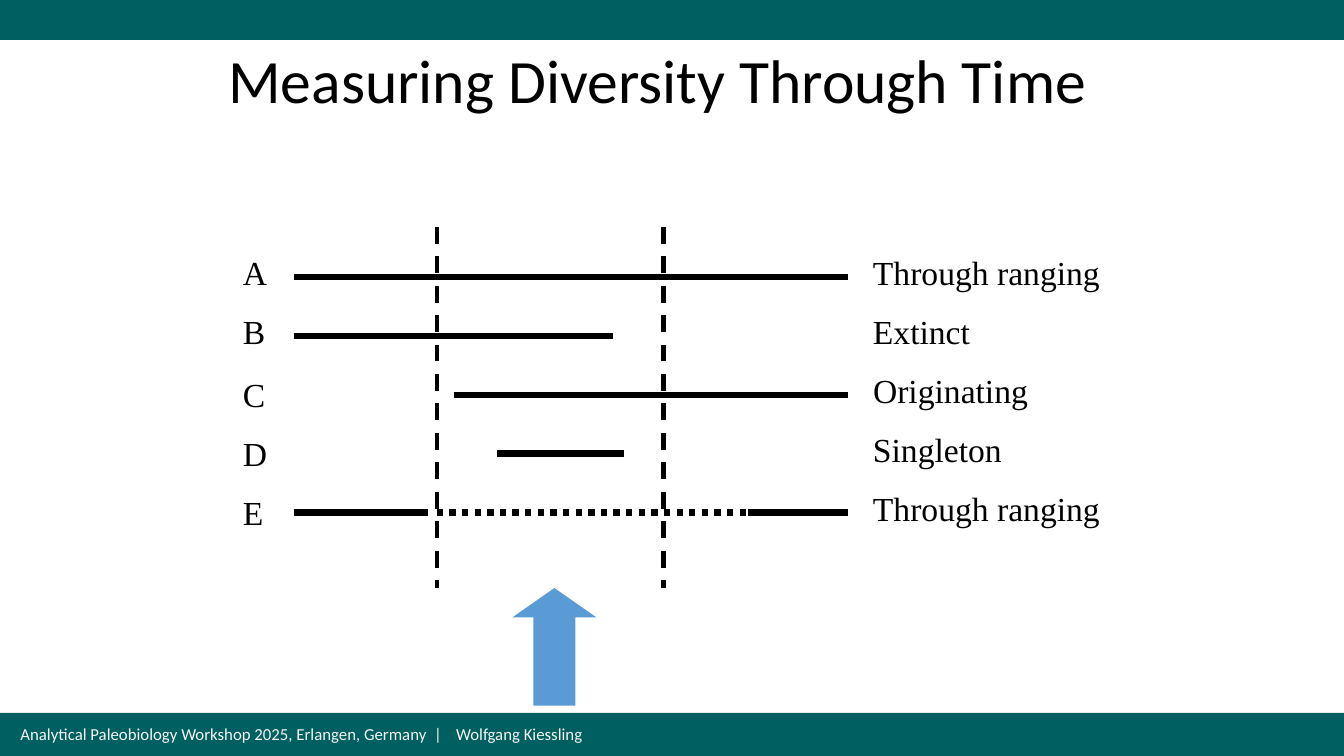
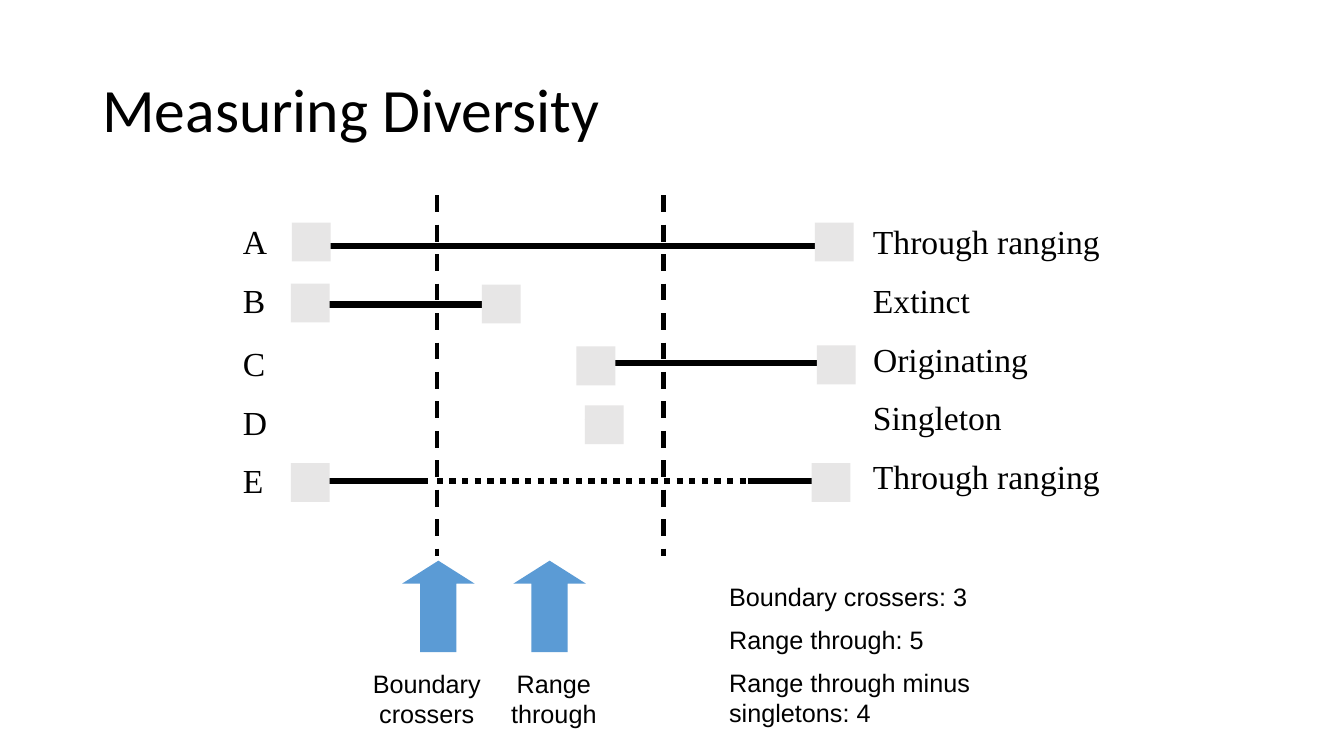
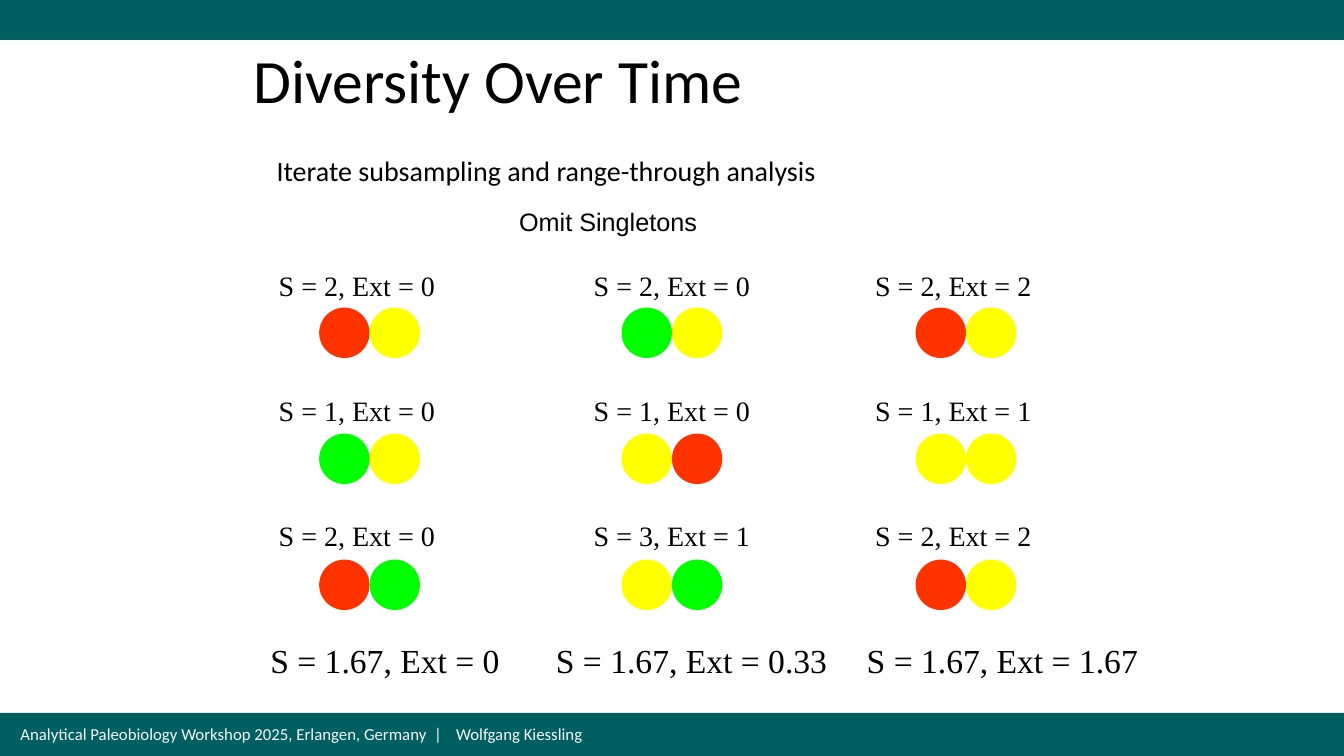
import dataclasses

import lxml.etree
import pptx
import pptx.dml.color
import pptx.enum.dml
import pptx.enum.shapes
import pptx.enum.text
import pptx.oxml.ns
import pptx.util

PX = 9525  # EMU in one px, on a slide of 1280 by 720 px
SHAPE = pptx.enum.shapes.MSO_SHAPE
DASH = pptx.enum.dml.MSO_LINE
ALIGN = pptx.enum.text.PP_ALIGN
RGB = pptx.dml.color.RGBColor.from_string


def font_values(name, points):
    return {"name": name, "size": pptx.util.Pt(points)}


@dataclasses.dataclass(frozen=True)
class Theme:
    band = "005F60"
    footer_ink = "F5F5F5"
    ink = "000000"
    paper = "FFFFFF"
    arrow = "5B9BD5"
    square = "E7E6E6"
    circles = {"R": "FF3300", "Y": "FFFF00", "G": "00FF00"}
    title = font_values("Calibri", 44)
    lead = font_values("Calibri", 20)
    footer = font_values("Calibri", 12)
    label = font_values("Times New Roman", 24)
    result = font_values("Times New Roman", 20)
    note = font_values("Arial", 18)
    range_line = pptx.util.Pt(4.5)
    boundary_line = pptx.util.Pt(3)


theme = Theme()


def add_box(slide, kind, at, colour, adjustments=(), lines=(), style=None, ink=theme.ink,
            wrap=False, **paragraph_values):
    """Add a preset shape, or a text box when kind is None, with its text."""
    at = [value * PX for value in at]
    if kind is None:
        shape = slide.shapes.add_textbox(*at)
    else:
        shape = slide.shapes.add_shape(kind, *at)
        shape.shadow.inherit = False
        shape.line.fill.background()
    if colour:
        shape.fill.solid()
        shape.fill.fore_color.rgb = RGB(colour)
    for index, value in enumerate(adjustments):
        shape.adjustments[index] = value
    if lines:
        frame = shape.text_frame
        frame.word_wrap = wrap
        frame.auto_size = pptx.enum.text.MSO_AUTO_SIZE.SHAPE_TO_FIT_TEXT
    for index, line in enumerate(lines):
        paragraph = frame.add_paragraph() if index else frame.paragraphs[0]
        for name, value in paragraph_values.items():
            if index or name != "space_before":
                setattr(paragraph, name, value)
        run = paragraph.add_run()
        run.text = line
        for name, value in style.items():
            setattr(run.font, name, value)
        run.font.color.rgb = RGB(ink)
    return shape


presentation = pptx.Presentation()
presentation.slide_width = 1280 * PX
presentation.slide_height = 720 * PX
blank = presentation.slide_layouts[6]

# Title, its place, and whether the slide has bands
frames = [
    ("Measuring Diversity Through Time", (208, 12, 850, 136), True),
    ("Measuring Diversity", (88, 38, 1104, 139), False),
    ("Diversity Over Time", (232, 32, 816, 96), True),
]
slides = []
for title, at, has_bands in frames:
    slide = presentation.slides.add_slide(blank)
    slides.append(slide)
    if has_bands:
        for top, height in [(679, 41), (0, 38)]:
            add_box(slide, SHAPE.RECTANGLE, (0, top, 1280, height), theme.band)
        footer = add_box(
            slide, None, (10, 685, 760, 29), None, style=theme.footer, ink=theme.footer_ink, wrap=True,
            lines=["Analytical Paleobiology Workshop 2025, Erlangen, Germany\t|\tWolfgang Kiessling"])
        properties = footer.text_frame.paragraphs[0]._p.get_or_add_pPr()
        tabs = lxml.etree.SubElement(properties, pptx.oxml.ns.qn("a:tabLst"))
        for position in (394, 415):
            lxml.etree.SubElement(tabs, pptx.oxml.ns.qn("a:tab"), pos=str(position * PX), algn="l")
    heading = add_box(slide, None, at, None, lines=[title], style=theme.title, wrap=True,
                      line_spacing=0.9)
    heading.text_frame.auto_size = pptx.enum.text.MSO_AUTO_SIZE.NONE
    heading.text_frame.vertical_anchor = pptx.enum.text.MSO_ANCHOR.MIDDLE

true_slide, sampled_slide, subsampling_slide = slides

# Range charts: letter, its width, category, its width
taxa = [
    ("A", 42, "Through ranging", 240),
    ("B", 40, "Extinct", 118),
    ("C", 40, "Originating", 172),
    ("D", 42, "Singleton", 148),
    ("E", 40, "Through ranging", 240),
]
row_step = 56
true_ranges = [(280, 808), (280, 584), (432, 808), (473, 594)]
sampled_ranges = [(280, 808), (280, 473), (564, 808), (557, 587)]

for slide, first_row, ranges in [(true_slide, 264, true_ranges), (sampled_slide, 234, sampled_ranges)]:
    last_row = first_row + 4 * row_step
    lines = [(left, first_row + row * row_step, right, first_row + row * row_step,
              theme.range_line, None)
             for row, (left, right) in enumerate(ranges)]
    lines += [(x, first_row - 48, x, first_row + 296, theme.boundary_line, DASH.DASH)
              for x in (416, 632)]
    lines += [(left, last_row, right, last_row, theme.range_line, dash)
              for left, right, dash in [(280, 408, None), (712, 808, None), (416, 712, DASH.ROUND_DOT)]]
    for x1, y1, x2, y2, width, dash in lines:
        connector = slide.shapes.add_connector(
            pptx.enum.shapes.MSO_CONNECTOR.STRAIGHT, x1 * PX, y1 * PX, x2 * PX, y2 * PX)
        connector.line.color.rgb = RGB(theme.ink)
        connector.line.width = width
        if dash:
            connector.line.dash_style = dash
        lxml.etree.SubElement(connector._element.spPr, pptx.oxml.ns.qn("a:effectLst"))

    for row, (letter, letter_width, category, category_width) in enumerate(taxa):
        top = first_row + row * row_step - 24
        letter_top = top + (4 if row > 1 else 0)
        for text, at in [(letter, (222, letter_top, letter_width, 44)),
                         (category, (822, top, category_width, 44))]:
            add_box(slide, None, at, None, lines=[text], style=theme.label, line_spacing=0.9)

add_box(true_slide, SHAPE.UP_ARROW, (488, 560, 80, 112), theme.arrow, (0.5, 0.35))

# Squares hide the ends of the ranges
square_places = [(278, 212), (776, 212), (277, 270), (459, 271), (549, 330), (778, 329),
                 (557, 386), (277, 441), (773, 441)]
for left, top in square_places:
    add_box(sampled_slide, SHAPE.RECTANGLE, (left, top, 37, 37), theme.square)

for arrow_left, note_left, note in [(383, 345, "Boundary crossers"), (489, 466, "Range through")]:
    add_box(sampled_slide, SHAPE.UP_ARROW, (arrow_left, 534, 69, 87), theme.arrow, (0.5, 0.317))
    add_box(sampled_slide, None, (note_left, 632, 123, 67), theme.paper, lines=[note],
            style=theme.note, wrap=True, alignment=ALIGN.CENTER)

counts = ["Boundary crossers: 3", "Range through: 5", "Range through minus singletons: 4"]
add_box(sampled_slide, None, (685, 549, 363, 154), theme.paper, lines=counts, style=theme.note,
        wrap=True, space_before=pptx.util.Pt(9))

# Subsampling trials: circle left, label left, trials, mean left, mean width, mean
diameter = 48
columns = [
    (304, 256, [("RY", "S = 2, Ext = 0"), ("GY", "S = 1, Ext = 0"), ("RG", "S = 2, Ext = 0")],
     248, 250, "S = 1.67, Ext = 0"),
    (592, 556, [("GY", "S = 2, Ext = 0"), ("YR", "S = 1, Ext = 0"), ("YG", "S = 3, Ext = 1")],
     520, 290, "S = 1.67, Ext = 0.33"),
    (872, 824, [("RY", "S = 2, Ext = 2"), ("YY", "S = 1, Ext = 1"), ("RY", "S = 2, Ext = 2")],
     816, 290, "S = 1.67, Ext = 1.67"),
]
for circle_left, label_left, trials, mean_left, mean_width, mean in columns:
    for row, (sample, result) in enumerate(trials):
        for index, key in enumerate(sample):
            at = (circle_left + index * diameter, 293 + row * 120, diameter, diameter)
            add_box(subsampling_slide, SHAPE.OVAL, at, theme.circles[key])
        add_box(subsampling_slide, None, (label_left, 255 + row * 119, 172, 38), None,
                lines=[result], style=theme.result, line_spacing=0.9)
    add_box(subsampling_slide, None, (mean_left, 609, mean_width, 44), None,
            lines=[mean], style=theme.label, line_spacing=0.9)

for text, at, style in [
    ("Omit Singletons", (485, 192, 194, 38), theme.note),
    ("Iterate subsampling and range-through analysis", (254, 141, 542, 42), theme.lead),
]:
    add_box(subsampling_slide, None, at, None, lines=[text], style=style)

presentation.save("out.pptx")
